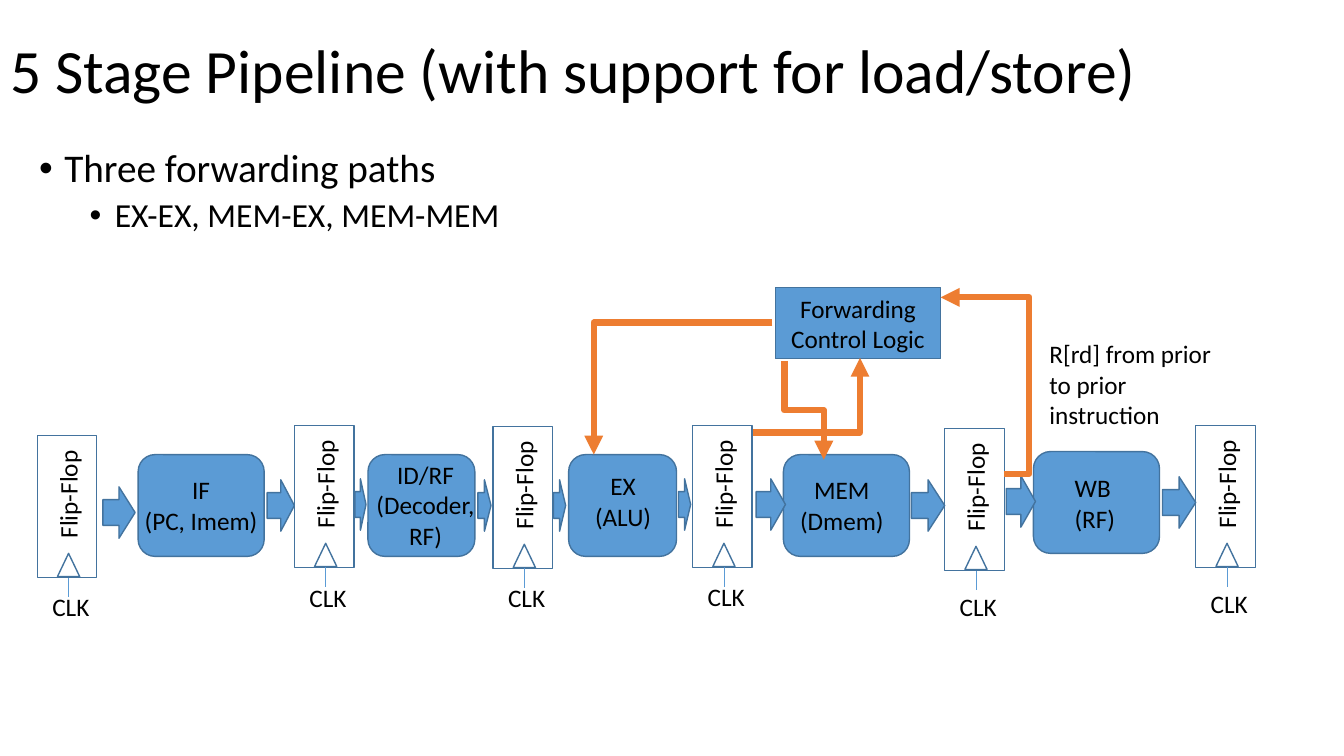
from pptx import Presentation
from pptx.dml.color import RGBColor
from pptx.enum.shapes import MSO_CONNECTOR as Connector, MSO_SHAPE as Shape
from pptx.enum.text import MSO_ANCHOR as Anchor, MSO_AUTO_SIZE as AutoSize, PP_ALIGN as Align
from pptx.oxml.ns import qn
from pptx.util import Pt
from lxml.etree import SubElement

PX = 9144
COLORS = {"text": "000000", "fill": "5B9BD5", "outline": "43739E", "forward": "ED7D31"}

STAGES = [
    ((137, 451, 125, 101), (133, 466, 133, 71), ["IF", "(PC, Imem)"], Align.CENTER, False),
    ((365, 451, 106, 101), (361, 451, 122, 101), ["ID/RF", "(Decoder, RF)"], Align.CENTER, True),
    ((564, 451, 107, 101), (580, 462, 76, 71), ["EX", "(ALU)"], Align.CENTER, False),
    ((777, 451, 125, 101), (783, 466, 104, 71), ["MEM", "(Dmem)"], Align.CENTER, False),
    ((1025, 448, 125, 101), (1056, 464, 61, 71), ["WB", "(RF)"], Align.LEFT, False),
]
FLIP_FLOPS = [(37, 432, 582), (292, 422, 573), (489, 423, 573),
              (687, 422, 572), (937, 425, 582), (1186, 422, 579)]
FLOW_ARROWS = [(102, 483, 32), (265, 476, 27), (352, 475, 11), (474, 476, 13), (549, 476, 12),
               (673, 475, 12), (750, 475, 29), (904, 476, 33), (998, 472, 29), (1153, 473, 33)]


def emu(*lengths):
    return [round(length * PX) for length in lengths]


def color(name):
    return RGBColor.from_string(COLORS[name])


def format_paragraph(paragraph, size, align=Align.LEFT):
    paragraph.alignment = align
    paragraph.font.size = Pt(size)
    paragraph.font.name = "Calibri"
    paragraph.font.color.rgb = color("text")


def write_lines(frame, lines, align):
    for index, line in enumerate(lines):
        paragraph = frame.add_paragraph() if index else frame.paragraphs[0]
        paragraph.text = line
        format_paragraph(paragraph, 18, align)


def add_label(slide, box, lines, align=Align.LEFT, wrap=False, rotation=0):
    label = slide.shapes.add_textbox(*emu(*box))
    label.rotation = rotation
    label.text_frame.word_wrap = wrap
    label.text_frame.auto_size = AutoSize.SHAPE_TO_FIT_TEXT
    write_lines(label.text_frame, lines, align)


def add_box(slide, kind, box, filled=True):
    shape = slide.shapes.add_shape(kind, *emu(*box))
    shape.shadow.inherit = False
    if filled:
        shape.fill.solid()
        shape.fill.fore_color.rgb = color("fill")
    else:
        shape.fill.background()
    shape.line.color.rgb = color("outline")
    shape.line.width = Pt(1)
    return shape


def add_line(slide, kind, begin, end, line_color, width):
    line = slide.shapes.add_connector(kind, *emu(*begin, *end))
    line.line.color.rgb = color(line_color)
    line.line.width = Pt(width)
    SubElement(line._element.spPr, qn("a:effectLst"))
    return line


def add_forward(slide, begin, end, bend, vertical=False):
    start, stop = begin, end
    if vertical:
        center_x, center_y = [(a + b) / 2 for a, b in zip(begin, end)]
        half_x, half_y = [(b - a) / 2 for a, b in zip(begin, end)]
        start = center_x + half_y, center_y - half_x
        stop = center_x - half_y, center_y + half_x
    elbow = add_line(slide, Connector.ELBOW, start, stop, "forward", 4.5)
    properties = elbow._element.spPr
    if vertical:
        properties.find(qn("a:xfrm")).set("rot", str(270 * 60000))
    axis = int(vertical)
    ratio = (bend - begin[axis]) / (end[axis] - begin[axis])
    geometry = properties.find(qn("a:prstGeom"))
    adjustments = geometry.find(qn("a:avLst"))
    if adjustments is None:
        adjustments = SubElement(geometry, qn("a:avLst"))
    SubElement(adjustments, qn("a:gd"), name="adj1", fmla=f"val {round(ratio * 100000)}")
    SubElement(properties.find(qn("a:ln")), qn("a:tailEnd"), type="triangle")


def add_flip_flop(slide, left, top, clock_top):
    add_box(slide, Shape.RECTANGLE, (left, top, 59, 141), filled=False)
    add_box(slide, Shape.ISOSCELES_TRIANGLE, (left + 20, top + 117, 22, 23), filled=False)
    add_label(slide, (left - 24, top + 38, 108, 40), ["Flip-Flop"], rotation=270)
    add_line(slide, Connector.STRAIGHT, (left + 31, top + 160), (left + 31, top + 141), "fill", 0.5)
    add_label(slide, (left + 5, clock_top, 58, 40), ["CLK"])


def set_title(slide, text):
    title = slide.shapes.title
    title.left, title.top, title.width, title.height = emu(0, 0, 1150, 145)
    title.text_frame.text = text
    title.text_frame.vertical_anchor = Anchor.MIDDLE
    paragraph = title.text_frame.paragraphs[0]
    format_paragraph(paragraph, 44)
    paragraph.line_spacing = 0.9


def add_bullets(slide, box, items):
    frame = slide.shapes.add_textbox(*emu(*box)).text_frame
    frame.word_wrap = True
    for index, (text, level, size, space) in enumerate(items):
        paragraph = frame.add_paragraph() if index else frame.paragraphs[0]
        paragraph.text = text
        paragraph.level = level
        format_paragraph(paragraph, size)
        paragraph.line_spacing = 0.9
        paragraph.space_before = Pt(space)
        properties = paragraph._p.get_or_add_pPr()
        margin, indent = emu(25 + 50 * level, -25)
        properties.set("marL", str(margin))
        properties.set("indent", str(indent))
        bullet_font = SubElement(properties, qn("a:buFont"), typeface="Arial")
        bullet = SubElement(properties, qn("a:buChar"), char="•")
        properties.find(qn("a:defRPr")).addprevious(bullet_font)
        bullet_font.addnext(bullet)


def main():
    presentation = Presentation()
    presentation.slide_width, presentation.slide_height = emu(1333, 750)
    slide = presentation.slides.add_slide(presentation.slide_layouts[5])
    set_title(slide, "5 Stage Pipeline (with support for load/store)")
    add_bullets(slide, (29, 143, 1202, 476), [
        ("Three forwarding paths", 0, 28, 10),
        ("EX-EX, MEM-EX, MEM-MEM", 1, 24, 5),
    ])
    for box, label_box, lines, align, wrap in STAGES:
        add_box(slide, Shape.ROUNDED_RECTANGLE, box)
        add_label(slide, label_box, lines, align, wrap)
    for left, top, clock_top in FLIP_FLOPS:
        add_flip_flop(slide, left, top, clock_top)
    for left, top, width in FLOW_ARROWS:
        add_box(slide, Shape.RIGHT_ARROW, (left, top, width, 51))

    control = add_box(slide, Shape.RECTANGLE, (769, 285, 164, 71))
    control.text_frame.word_wrap = True
    control.text_frame.vertical_anchor = Anchor.MIDDLE
    write_lines(control.text_frame, ["Forwarding Control Logic"], Align.CENTER)
    add_label(slide, (1031, 331, 190, 101), ["R[rd] from prior to prior instruction"], wrap=True)
    add_forward(slide, (747, 429), (853, 355), bend=853)
    add_forward(slide, (996, 470), (933, 295), bend=1021)
    add_forward(slide, (766, 320), (589, 451), bend=589)
    add_forward(slide, (778, 358), (817, 456), bend=407, vertical=True)
    presentation.save("out.pptx")


if __name__ == "__main__":
    main()
